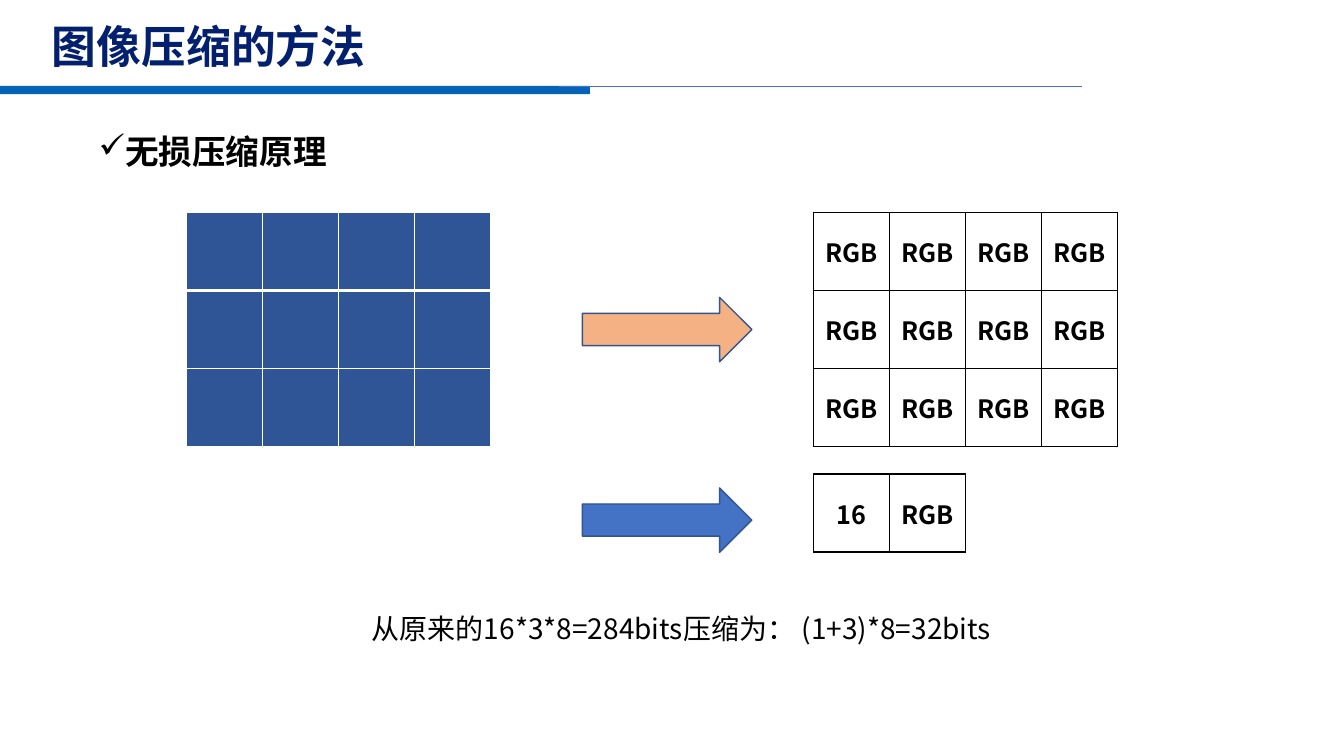
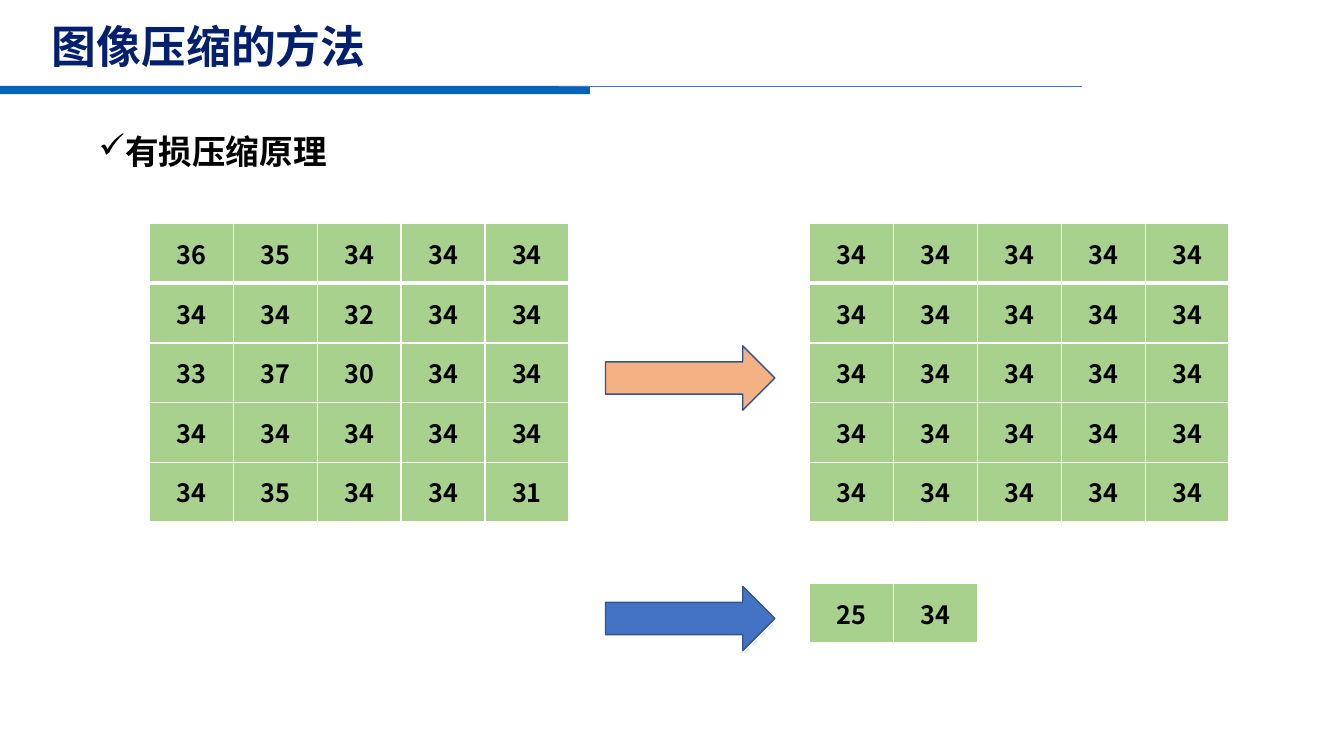
from dataclasses import dataclass

from lxml.etree import SubElement as Sub
from pptx import Presentation
from pptx.dml.color import RGBColor as RGB
from pptx.enum.shapes import MSO_CONNECTOR as Link, MSO_SHAPE as Form
from pptx.enum.text import MSO_ANCHOR as Anchor, MSO_AUTO_SIZE as Fit, PP_ALIGN as Align
from pptx.oxml.ns import qn
from pptx.util import Pt


@dataclass(frozen=True)
class Theme:
    font: str = "Noto Sans CJK SC"
    navy: str = "02206D"
    band: str = "0563B8"
    blue: str = "4472C4"
    edge: str = "325491"
    deep: str = "2F5597"
    peach: str = "F4B183"
    green: str = "A9D18E"
    black: str = "000000"
    white: str = "FFFFFF"
    title: int = 32
    head: int = 24
    note: int = 20
    cell: int = 18
    thin: int = 1
    thick: int = 3


class Deck:
    """Build slides in one shared style."""

    def __init__(self, theme):
        self.theme = theme
        self.show = Presentation()
        self.show.slide_width, self.show.slide_height = Pt(960), Pt(540)
        self.slide = None

    def run(self, para, text, size, color, bold=False):
        run = para.add_run()
        run.text = text
        font = run.font
        font.name, font.size, font.bold = self.theme.font, Pt(size), bold
        font.color.rgb = RGB.from_string(color)
        Sub(run._r.get_or_add_rPr(), qn("a:ea"), typeface=self.theme.font)

    def shape(self, form, box, fill, edge=None):
        shape = self.slide.shapes.add_shape(form, *map(Pt, box))
        shape.shadow.inherit = False
        shape.fill.solid()
        shape.fill.fore_color.rgb = RGB.from_string(fill)
        if edge:
            shape.line.color.rgb = RGB.from_string(edge)
            shape.line.width = Pt(self.theme.thin)
        else:
            shape.line.fill.background()

    def rule(self, left, right, top):
        line = self.slide.shapes.add_connector(Link.STRAIGHT, Pt(left), Pt(top), Pt(right), Pt(top))
        line.line.color.rgb = RGB.from_string(self.theme.blue)
        line.line.width = Pt(self.theme.thin)
        Sub(line._element.spPr, qn("a:effectLst"))

    def page(self, title, head):
        look = self.theme
        self.slide = self.show.slides.add_slide(self.show.slide_layouts[5])
        self.shape(Form.RECTANGLE, (0, 61.4, 421.4, 5.8), look.band)
        self.rule(399.6, 772.6, 61.7)
        name = self.slide.shapes.title
        name.left, name.top, name.width, name.height = map(Pt, (29.8, 15.6, 895.6, 38.4))
        frame = name.text_frame
        frame.auto_size, frame.vertical_anchor = Fit.NONE, Anchor.MIDDLE
        para = frame.paragraphs[0]
        para.alignment, para.line_spacing = Align.LEFT, 0.9
        self.run(para, title, look.title, look.navy, True)
        para = self.text((27.4, 75.6, 886.3, 46.1))
        para.level, para.line_spacing = 1, 1.5
        props = para._p.get_or_add_pPr()
        props.set("marL", str(Pt(54)))
        props.set("indent", str(Pt(-18)))
        Sub(props, qn("a:buChar"), char="✓")
        self.run(para, head, look.head, look.black, True)

    def text(self, box):
        frame = self.slide.shapes.add_textbox(*map(Pt, box)).text_frame
        frame.word_wrap, frame.auto_size = True, Fit.SHAPE_TO_FIT_TEXT
        return frame.paragraphs[0]

    def note(self, text, box):
        self.run(self.text(box), text, self.theme.note, self.theme.black)

    def arrow(self, left, top, fill):
        self.shape(Form.RIGHT_ARROW, (left, top, 121, 46), fill, self.theme.edge)

    def edges(self, cell, color, **sides):
        props = cell._tc.get_or_add_tcPr()
        for side, width in sides.items():
            line = Sub(props, qn(f"a:ln{side}"), w=str(Pt(width)))
            Sub(Sub(line, qn("a:solidFill")), qn("a:srgbClr"), val=color)

    def grid(self, rows, left, top, wide, high, fill, edge, bar=False):
        look = self.theme
        size = len(rows), len(rows[0])
        box = left, top, wide * size[1], high * size[0]
        table = self.slide.shapes.add_table(*size, *map(Pt, box)).table
        table.first_row = table.horz_banding = False
        for col in table.columns:
            col.width = Pt(wide)
        for i, row in enumerate(rows):
            table.rows[i].height = Pt(high)
            upper = look.thick if bar and i == 1 else look.thin
            lower = look.thick if bar and i == 0 else look.thin
            for j, text in enumerate(row):
                cell = table.cell(i, j)
                cell.margin_left = cell.margin_right = 0
                cell.vertical_anchor = Anchor.MIDDLE
                self.edges(cell, edge, L=look.thin, R=look.thin, T=upper, B=lower)
                cell.fill.solid()
                cell.fill.fore_color.rgb = RGB.from_string(fill)
                if text:
                    para = cell.text_frame.paragraphs[0]
                    para.alignment = Align.CENTER
                    self.run(para, text, look.cell, look.black, True)


def main():
    look = Theme()
    deck = Deck(look)
    title = "图像压缩的方法"

    deck.page(title, "无损压缩原理")
    deck.note("从原来的16*3*8=284bits压缩为： (1+3)*8=32bits", (258.5, 433.4, 480.2, 31.7))
    cell = 54.3, 55.7
    plain = *cell, look.white, look.black
    deck.grid([[""] * 4] * 3, 133.2, 151.9, *cell, look.deep, look.white, True)
    deck.grid([["RGB"] * 4] * 3, 581, 151.9, *plain)
    deck.grid([["16", "RGB"]], 581, 338.6, *plain)
    deck.arrow(416, 212.4, look.peach)
    deck.arrow(416, 348.5, look.blue)

    deck.page(title, "有损压缩原理")
    data = ["36 35 34 34 34", "34 34 32 34 34", "33 37 30 34 34", "34 34 34 34 34", "34 35 34 34 31"]
    style = 59.9, 42.6, look.green, look.white, True
    deck.grid([row.split() for row in data], 106.8, 159.8, *style)
    deck.grid([["34"] * 5] * 5, 578.4, 159.8, *style)
    deck.grid([["25", "34"]], 578.4, 417, *style)
    deck.arrow(432.5, 247, look.peach)
    deck.arrow(432.5, 418.8, look.blue)

    deck.show.save("out.pptx")


if __name__ == "__main__":
    main()
